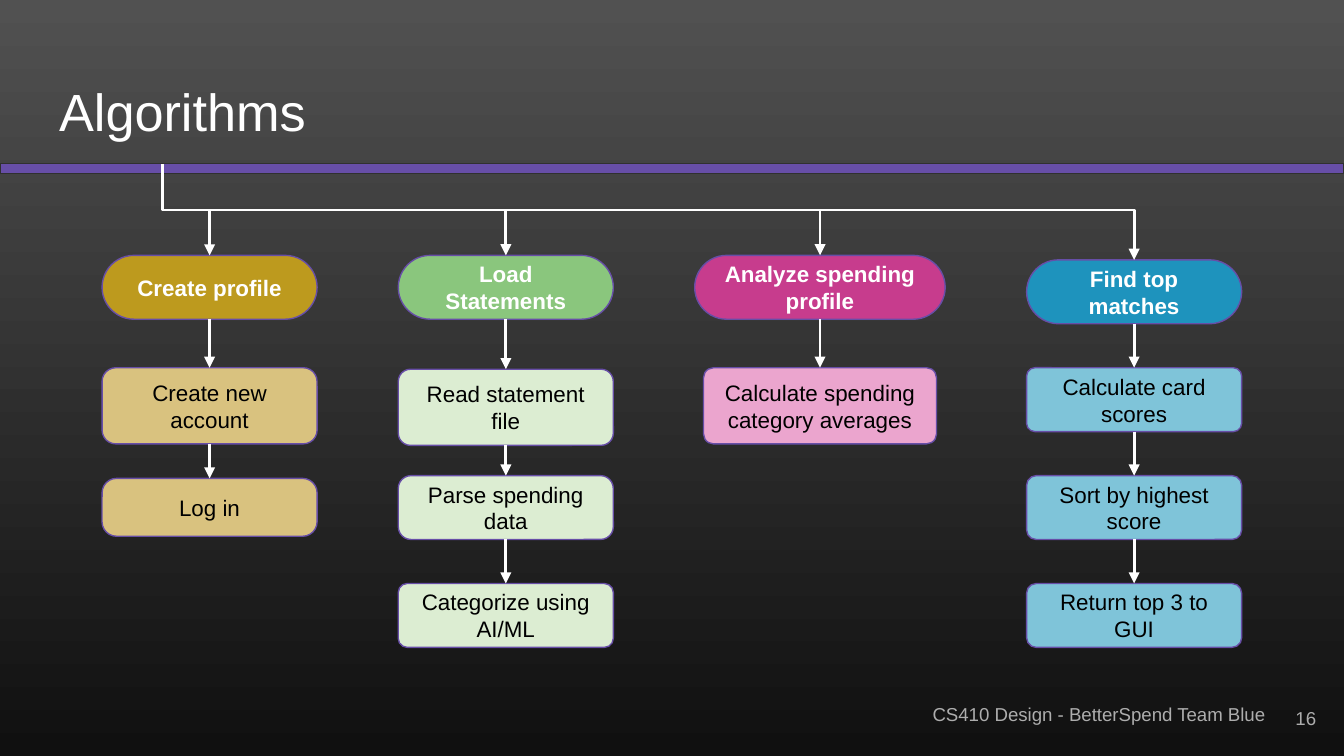
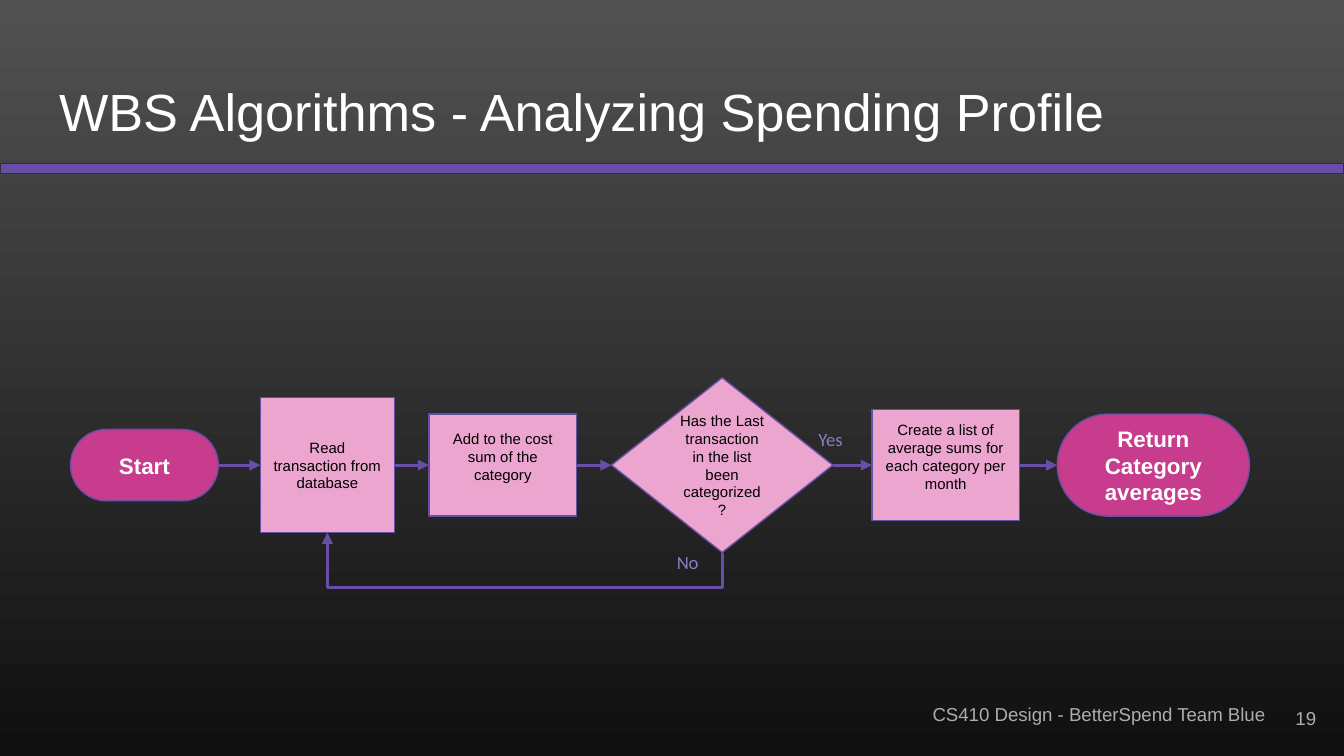
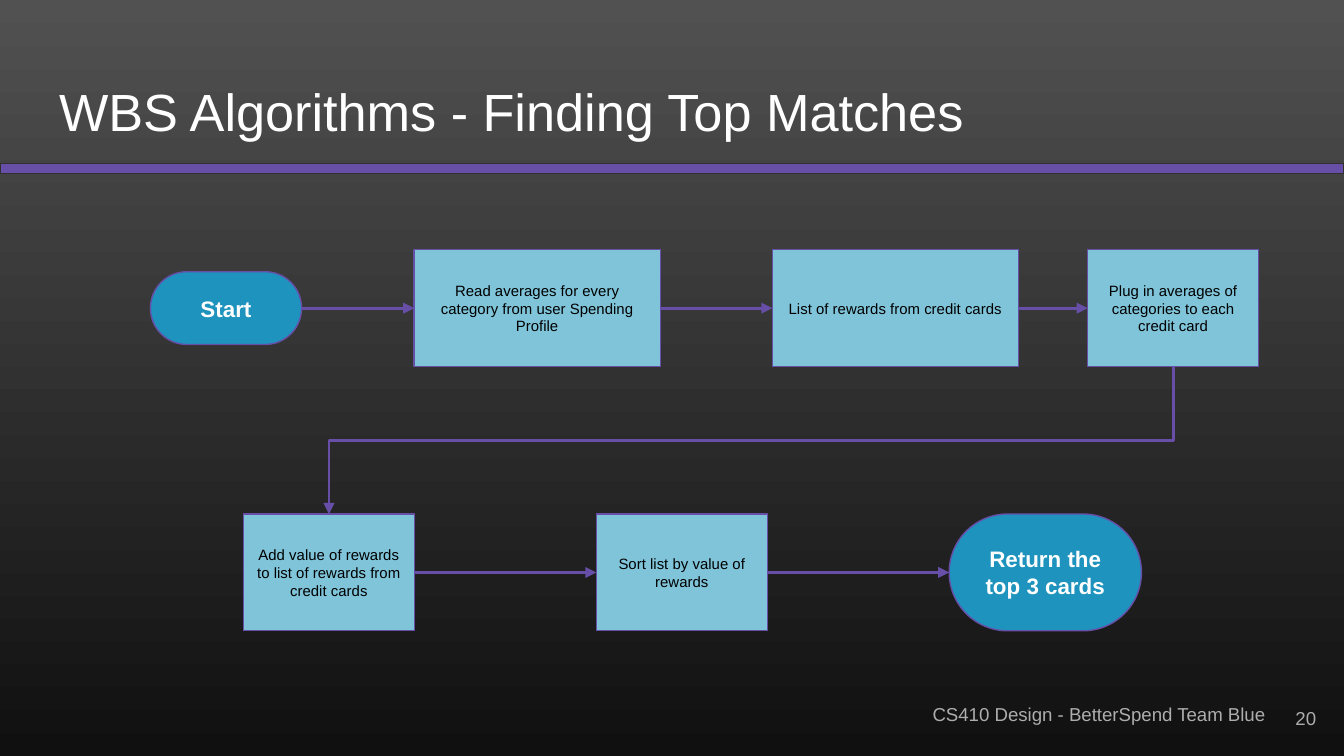
import pptx
import pptx.util
import pptx.dml.color
import pptx.enum.shapes
import pptx.enum.text
import pptx.oxml
import pptx.oxml.ns

Pt = pptx.util.Pt
RGB = pptx.dml.color.RGBColor
SHAPE = pptx.enum.shapes.MSO_SHAPE
LINK = pptx.enum.shapes.MSO_CONNECTOR
ANCHOR = pptx.enum.text.MSO_ANCHOR
ALIGN = pptx.enum.text.PP_ALIGN

WHITE = RGB(0xFF, 0xFF, 0xFF)
BLACK = RGB(0, 0, 0)
GRAY = RGB(0xAD, 0xAD, 0xAD)
EDGE = RGB(0x30, 0x30, 0x30)
SHADES = RGB(0x51, 0x51, 0x51), RGB(0x10, 0x10, 0x10)
PURPLE = RGB(0x67, 0x4E, 0xA7)
LILAC = RGB(0x8E, 0x7C, 0xC3)
# Each pair is the pill colour, then the box colour.
GOLD = RGB(0xBD, 0x9A, 0x1E), RGB(0xD9, 0xC2, 0x7F)
GREEN = RGB(0x8A, 0xC6, 0x7D), RGB(0xDC, 0xED, 0xD2)
PINK = RGB(0xC7, 0x3C, 0x8D), RGB(0xEB, 0xA5, 0xCE)
BLUE = RGB(0x1E, 0x93, 0xBD), RGB(0x7F, 0xC4, 0xD9)

INSET = 7.2
TOP, LEFT, BOTTOM, RIGHT = range(4)
FOOTER = "CS410 Design - BetterSpend Team Blue"

# Column: colours, centre, pill (top, width, text), box width,
# then boxes (top, height, corner, text).
COLUMNS = [
    (GOLD, 112.3, (136.8, 115.2, "Create profile"), 115.2, [
        (197, 40.8, 0.18, "Create new account"),
        (256.3, 31, 0.25, "Log in")]),
    (GREEN, 271, (136.8, 115.2, "Load Statements"), 115.2, [
        (197.8, 40.8, 0.16, "Read statement file"),
        (254.8, 34.2, 0.2, "Parse spending data"),
        (312.6, 34.2, 0.14, "Categorize using AI/ML")]),
    (PINK, 439.3, (136.8, 134.2, "Analyze spending profile"), 124.8, [
        (197, 40.8, 0.13, "Calculate spending category averages")]),
    (BLUE, 607.6, (139.2, 115.2, "Find top matches"), 115.2, [
        (197, 34.2, 0.13, "Calculate card scores"),
        (254.8, 34.2, 0.15, "Sort by highest score"),
        (312.6, 34.2, 0.15, "Return top 3 to GUI")]),
]
TRUNK = 87.1, 87.8, 112.5  # x, start, bend

# Row step: kind, left, width, height, text.
SPEND = [
    ("pill", 37.8, 79.2, 38.2, "Start"),
    ("box", 139.5, 71.8, 72.4, "Read transaction from database"),
    ("high", 229.8, 79.2, 54.7, "Add to the cost sum of the category"),
    ("test", 327.6, 118.6, 93.6,
     "Has the Last transaction in the list been categorized?"),
    ("high", 467.1, 79.2, 59.6,
     "Create a list of average sums for each category per month"),
    ("pill", 566.4, 103, 54.7, "Return Category averages"),
]
ANSWERS = [(431.4, 221.8, "Yes"), (355.5, 287.8, "No")]
MATCH = [
    (165.1, [
        ("pill", 80.6, 81, 39, "Start"),
        ("box", 221.9, 131.8, 62.6,
         "Read averages for every category from user Spending Profile"),
        ("box", 413.8, 131.8, 62.6, "List of rewards from credit cards"),
        ("box", 582.7, 91.6, 62.6,
         "Plug in averages of categories to each credit card")]),
    (306.7, [
        ("box", 130.4, 91.6, 62.6,
         "Add value of rewards to list of rewards from credit cards"),
        ("box", 319.5, 91.6, 62.6, "Sort list by value of rewards"),
        ("pill", 508.5, 103, 62.6, "Return the top 3 cards")]),
]

HEAD = {"size": Pt(12), "bold": True, "color": WHITE}
BODY = {"size": Pt(12), "color": BLACK}
SMALL = {"size": Pt(8), "color": BLACK}
NOTE = {"size": Pt(10), "color": GRAY}


def place(*box):
    return [Pt(round(v, 2)) for v in box]


def write(shape, text, form, align=ALIGN.CENTER, anchor=ANCHOR.MIDDLE, foot=INSET):
    frame = shape.text_frame
    sides = {f"margin_{s}": Pt(INSET) for s in ("left", "top", "right")}
    for key, val in {**sides, "margin_bottom": Pt(foot), "word_wrap": True,
                     "auto_size": pptx.enum.text.MSO_AUTO_SIZE.NONE,
                     "vertical_anchor": anchor}.items():
        setattr(frame, key, val)
    frame.text = text
    para = frame.paragraphs[0]
    para.alignment = align
    for key, val in {"name": "Arial", **form}.items():
        if key == "color":
            para.font.color.rgb = val
        else:
            setattr(para.font, key, val)


def label(slide, box, text, form, **kw):
    write(slide.shapes.add_textbox(*place(*box)), text, form, **kw)


def draw(slide, kind, box, fill, edge=PURPLE, round_by=None):
    shape = slide.shapes.add_shape(kind, *place(*box))
    shape.shadow.inherit = False
    shape.fill.solid()
    shape.fill.fore_color.rgb = fill
    shape.line.color.rgb = edge
    shape.line.width = Pt(0.75)
    if round_by is not None:
        shape.adjustments[0] = round_by
    return shape


def node(slide, box, text, fill, form, curve):
    shape = draw(slide, SHAPE.ROUNDED_RECTANGLE, box, fill, round_by=curve)
    write(shape, text, form)
    return shape


def arrow(slide, kind, ends, color):
    line = slide.shapes.add_connector(kind, *place(*ends))
    line.line.color.rgb = color
    line.line.width = Pt(1.5)
    props = line._element.spPr
    tip = pptx.oxml.ns.qn("a:tailEnd")
    props.find(pptx.oxml.ns.qn("a:ln")).makeelement
    stroke = props.find(pptx.oxml.ns.qn("a:ln"))
    stroke.append(stroke.makeelement(tip, {"type": "triangle"}))
    props.append(props.makeelement(pptx.oxml.ns.qn("a:effectLst"), {}))
    return line


def join(slide, nodes, out, into, color):
    """Link each node to the next with a straight, glued arrow."""
    for prev, succ in zip(nodes, nodes[1:]):
        line = arrow(slide, LINK.STRAIGHT, (0, 0, 1, 1), color)
        line.begin_connect(prev, out)
        line.end_connect(succ, into)


def turn(slide, x1, y1, x2, y2, bend, color):
    """Draw an elbow that leaves and ends upright, crossing at height bend."""
    mid_x, mid_y = (x1 + x2) / 2, (y1 + y2) / 2
    half_w, half_h = (y2 - y1) / 2, (x1 - x2) / 2
    ends = mid_x - half_w, mid_y - half_h, mid_x + half_w, mid_y + half_h
    line = arrow(slide, LINK.ELBOW, ends, color)
    props = line._element.spPr
    props.find(pptx.oxml.ns.qn("a:xfrm")).set("rot", "5400000")
    guides = props.find(".//" + pptx.oxml.ns.qn("a:avLst"))
    ratio = round((bend - y1) / (y2 - y1) * 100000)
    guides.append(guides.makeelement(
        pptx.oxml.ns.qn("a:gd"), {"name": "adj1", "fmla": f"val {ratio}"}))


def branch(slide, ends, color):
    """Draw an elbow that runs across, then down."""
    line = arrow(slide, LINK.ELBOW, ends, color)
    geom = line._element.spPr.find(pptx.oxml.ns.qn("a:prstGeom"))
    geom.set("prst", "bentConnector2")


def row(slide, steps, mid, tones):
    nodes = []
    for kind, left, wide, high, text in steps:
        pill = kind == "pill"
        test = kind == "test"
        shape = draw(slide, SHAPE.FLOWCHART_DECISION if test else SHAPE.ROUNDED_RECTANGLE,
                     (left, mid - high / 2, wide, high), tones[0 if pill else 1],
                     round_by=None if test else 0.5 if pill else 0)
        write(shape, text, HEAD if pill else SMALL,
              foot=INSET + 9.2 if kind == "high" else INSET)
        nodes.append(shape)
    join(slide, nodes, RIGHT, LEFT, PURPLE)
    return nodes


def dress(layout, slide):
    """Give the layout its background, band and footer."""
    fill = layout.background.fill
    fill.gradient()
    fill.gradient_angle = 270
    for stop, shade in zip(fill.gradient_stops, SHADES):
        stop.color.rgb = shade
    draw(slide, SHAPE.RECTANGLE, (0, 87.5, 720, 5.5), PURPLE, EDGE)
    label(slide, (492.5, 369.4, 239, 26.6), FOOTER, NOTE,
          align=ALIGN.LEFT, anchor=ANCHOR.TOP)
    for shape in list(slide.shapes)[-2:]:
        layout.shapes._spTree.append(shape._element)


def start(deck, title, number):
    layout = deck.slide_layouts[5]
    slide = deck.slides.add_slide(layout)
    if len(deck.slides) == 1:
        dress(layout, slide)
    head = slide.shapes.title
    head.left, head.top, head.width, head.height = place(24.5, 35, 671, 49)
    write(head, title, {"size": Pt(28), "color": WHITE},
          align=ALIGN.LEFT, anchor=ANCHOR.TOP)
    label(slide, (669, 369.4, 43.2, 31), number, NOTE, align=ALIGN.RIGHT)
    return slide


def chart_steps(slide):
    x, top, bend = TRUNK
    for tones, mid, (y, wide, text), span, boxes in COLUMNS:
        nodes = [node(slide, (mid - wide / 2, y, wide, 34.2), text, tones[0], HEAD, 0.5)]
        for low, high, curve, words in boxes:
            nodes.append(node(slide, (mid - span / 2, low, span, high),
                              words, tones[1], BODY, curve))
        join(slide, nodes, BOTTOM, TOP, WHITE)
        if mid == COLUMNS[0][1]:
            turn(slide, x, top, mid, y, bend, WHITE)
        else:
            branch(slide, (x, bend, mid, y), WHITE)


def chart_spend(slide):
    mid = 249.2
    nodes = row(slide, SPEND, mid, PINK)
    read, test = nodes[1], nodes[3]
    turn(slide, *foot_of(test), *foot_of(read), 314.7, PURPLE)
    for left, top, text in ANSWERS:
        label(slide, (left, top, 52.6, 26.6), text,
              {"size": Pt(10), "color": LILAC, "name": "Calibri"},
              align=ALIGN.LEFT, anchor=ANCHOR.TOP)


def foot_of(shape):
    return (shape.left + shape.width / 2) / Pt(1), (shape.top + shape.height) / Pt(1)


def chart_match(slide):
    upper, lower = [row(slide, steps, mid, BLUE) for mid, steps in MATCH]
    x1, y1 = foot_of(upper[-1])
    x2, y2 = foot_of(lower[0])[0], lower[0].top / Pt(1)
    turn(slide, x1, y1, x2, y2, (y1 + y2) / 2, PURPLE)


SLIDES = [
    ("Algorithms", "16", chart_steps),
    ("WBS Algorithms - Analyzing Spending Profile", "19", chart_spend),
    ("WBS Algorithms - Finding Top Matches", "20", chart_match),
]


def main():
    deck = pptx.Presentation()
    deck.slide_width, deck.slide_height = Pt(720), Pt(405)
    for title, number, chart in SLIDES:
        chart(start(deck, title, number))
    deck.save("out.pptx")


if __name__ == "__main__":
    main()
